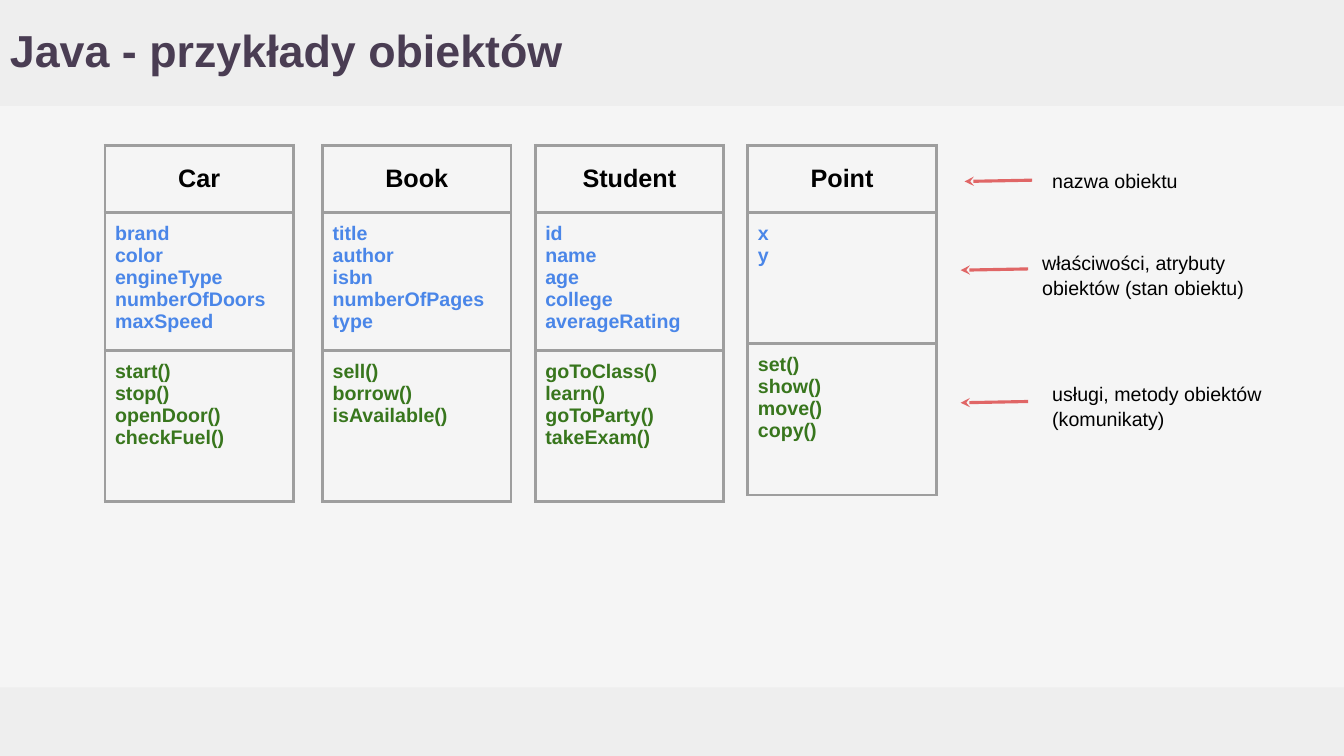
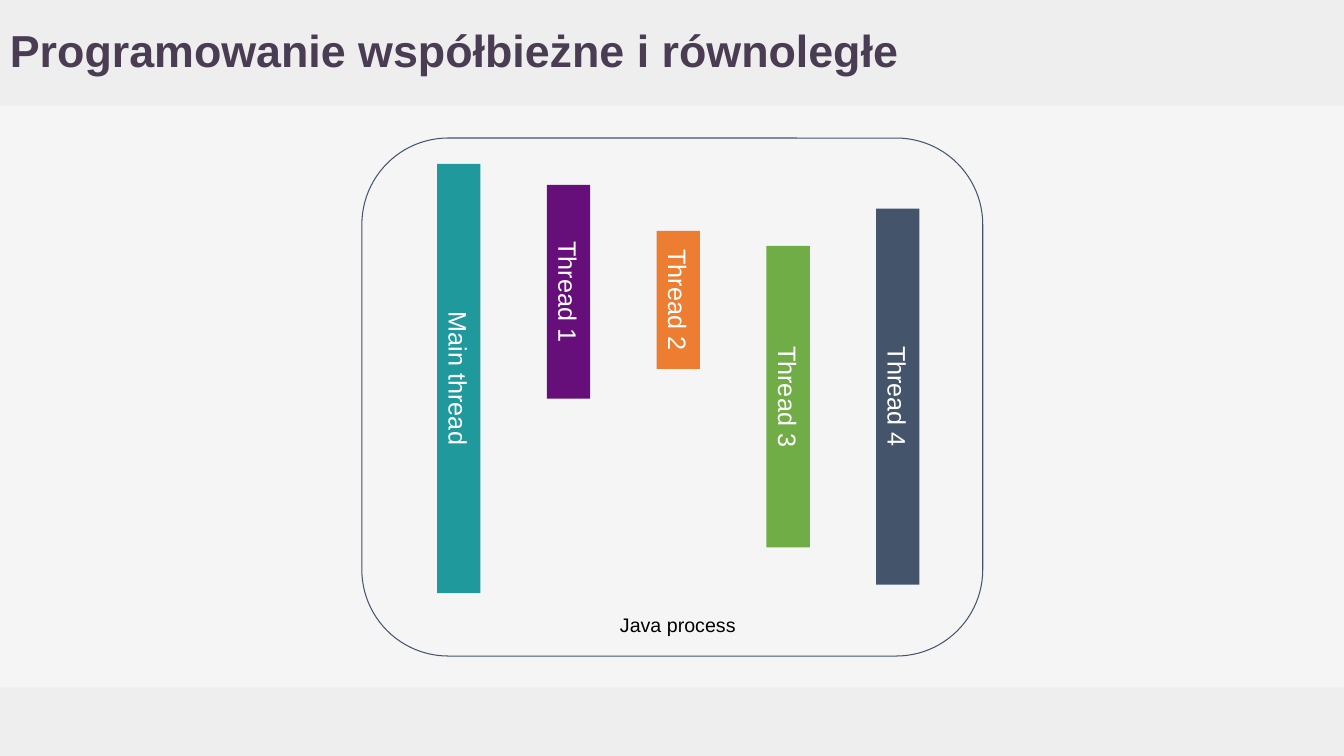
from pptx import Presentation
from pptx.dml.color import RGBColor
from pptx.enum.shapes import MSO_CONNECTOR, MSO_SHAPE
from pptx.enum.text import MSO_ANCHOR, PP_ALIGN
from pptx.oxml.ns import qn
from pptx.util import Pt
from lxml.etree import SubElement

WIDTH, HEIGHT = 960, 540
HEADER_H, FOOTER_H = 75.6, 49
INSET = 7.2
FONT = "Arial"

BACKGROUND, BAND, TITLE = "F5F5F5", "EEEEEE", "4A3D53"
BLACK, WHITE, SLATE = "000000", "FFFFFF", "44546A"
BORDER, ATTRIBUTE, METHOD, ARROW = "9E9E9E", "4A86E8", "38761D", "E06666"

# left edge, name, attributes, methods
CLASSES = [
    (75, "Car", "brand\ncolor\nengineType\nnumberOfDoors\nmaxSpeed",
     "start()\nstop()\nopenDoor()\ncheckFuel()"),
    (230.4, "Book", "title\nauthor\nisbn\nnumberOfPages\ntype",
     "sell()\nborrow()\nisAvailable()"),
    (382.3, "Student", "id\nname\nage\ncollege\naverageRating",
     "goToClass()\nlearn()\ngoToParty()\ntakeExam()"),
    (534.2, "Point", "x\ny", "set()\nshow()\nmove()\ncopy()"),
]
CLASS_TOP, CLASS_W = 103.7, 134.6
CLASS_ROWS = (48.2, 93.6, 108)

# text, text left, text top, arrow left, arrow y
NOTES = [
    ("nazwa obiektu", 744.5, 112.3, 689, 129.6),
    ("właściwości, atrybuty obiektów (stan obiektu)", 737.3, 170.6, 686.2, 193),
    ("usługi, metody obiektów (komunikaty)", 744.5, 264.2, 686.2, 287.7),
]
ARROW_W, ARROW_RISE = 48.2, 0.9

# name, top, length, colour
THREADS = [
    ("Main thread", 117, 306.7, "20999D"),
    ("Thread 1", 132.1, 152.6, "660E7A"),
    ("Thread 2", 164.9, 98.6, "ED7D31"),
    ("Thread 3", 175.7, 215.3, "70AD47"),
    ("Thread 4", 149, 268.6, SLATE),
]
THREAD_X, THREAD_STEP, THREAD_W = 327.7, 78.4, 31


def rgb(value):
    return RGBColor.from_string(value)


def set_text(tf, text, size, color, bold=False, align=PP_ALIGN.LEFT, spacing=None):
    tf.text = text
    tf.word_wrap = True
    for p in tf.paragraphs:
        p.alignment = align
        p.line_spacing = spacing
        for r in p.runs:
            r.font.name = FONT
            r.font.size = Pt(size)
            r.font.bold = bold
            r.font.color.rgb = rgb(color)


def set_insets(box):
    """Give a text frame or a table cell equal margins."""
    box.margin_left = box.margin_right = Pt(INSET)
    box.margin_top = box.margin_bottom = Pt(INSET)


def add_text(s, text, left, top, width, height, size, color,
             anchor=MSO_ANCHOR.TOP, **style):
    tf = s.shapes.add_textbox(Pt(left), Pt(top), Pt(width), Pt(height)).text_frame
    set_insets(tf)
    tf.vertical_anchor = anchor
    set_text(tf, text, size, color, **style)


def add_label(s, text, left, top, width, height, **style):
    add_text(s, text, left, top, width, height, 14, BLACK, spacing=1.07, **style)


def add_box(s, left, top, width, height, fill=None, line=None,
            kind=MSO_SHAPE.RECTANGLE):
    sp = s.shapes.add_shape(kind, Pt(left), Pt(top), Pt(width), Pt(height))
    sp.shadow.inherit = False
    if fill:
        sp.fill.solid()
        sp.fill.fore_color.rgb = rgb(fill)
    else:
        sp.fill.background()
    if line:
        sp.line.color.rgb = rgb(line)
        sp.line.width = Pt(0.75)
    else:
        sp.line.fill.background()
    return sp


def add_slide(prs, title):
    s = prs.slides.add_slide(prs.slide_layouts[6])
    s.background.fill.solid()
    s.background.fill.fore_color.rgb = rgb(BACKGROUND)
    add_box(s, 0, HEIGHT - FOOTER_H, WIDTH, FOOTER_H, BAND)
    add_box(s, 0, 0, WIDTH, HEADER_H, BAND)
    add_text(s, title, 0, 0, 858, HEADER_H, 32, TITLE, MSO_ANCHOR.MIDDLE,
             bold=True, spacing=0.9)
    return s


def set_borders(cell):
    tc_pr = cell._tc.get_or_add_tcPr()
    for side in ("a:lnL", "a:lnR", "a:lnT", "a:lnB"):
        ln = SubElement(tc_pr, qn(side), w=str(Pt(2.25)))
        fill = SubElement(ln, qn("a:solidFill"))
        SubElement(fill, qn("a:srgbClr"), val=BORDER)


def add_class(s, left, name, attributes, methods):
    table = s.shapes.add_table(3, 1, Pt(left), Pt(CLASS_TOP), Pt(CLASS_W),
                               Pt(sum(CLASS_ROWS))).table
    table.first_row = table.horz_banding = False
    contents = [
        (name, 18, BLACK, PP_ALIGN.CENTER, MSO_ANCHOR.MIDDLE),
        (attributes, 14, ATTRIBUTE, PP_ALIGN.LEFT, MSO_ANCHOR.TOP),
        (methods, 14, METHOD, PP_ALIGN.LEFT, MSO_ANCHOR.TOP),
    ]
    for i, (text, size, color, align, anchor) in enumerate(contents):
        table.rows[i].height = Pt(CLASS_ROWS[i])
        cell = table.cell(i, 0)
        set_borders(cell)
        cell.fill.background()
        set_insets(cell)
        cell.vertical_anchor = anchor
        set_text(cell.text_frame, text, size, color, True, align)


def add_arrow(s, left, y):
    """Draw an arrow that points left."""
    line = s.shapes.add_connector(MSO_CONNECTOR.STRAIGHT, Pt(left), Pt(y),
                                  Pt(left + ARROW_W), Pt(y - ARROW_RISE))
    line.line.color.rgb = rgb(ARROW)
    line.line.width = Pt(2.25)
    SubElement(line.line._get_or_add_ln(), qn("a:headEnd"), type="stealth")
    SubElement(line._element.spPr, qn("a:effectLst"))


def add_thread(s, name, center_x, top, length, color):
    """Draw a bar turned by 90 degrees, so its text runs downwards."""
    bar = add_box(s, center_x - length / 2, top + (length - THREAD_W) / 2,
                  length, THREAD_W, color)
    bar.rotation = 90
    tf = bar.text_frame
    set_insets(tf)
    tf.vertical_anchor = MSO_ANCHOR.MIDDLE
    set_text(tf, name, 18, WHITE, align=PP_ALIGN.CENTER)


def build_objects(prs):
    s = add_slide(prs, "Java - przykłady obiektów")
    for row in CLASSES:
        add_class(s, *row)
    for text, left, top, arrow_left, arrow_y in NOTES:
        add_label(s, text, left, top, 164.2, 21.6)
        add_arrow(s, arrow_left, arrow_y)


def build_threads(prs):
    s = add_slide(prs, "Programowanie współbieżne i równoległe")
    process = add_box(s, 258.5, 98.6, 443.5, 370, line=SLATE,
                      kind=MSO_SHAPE.ROUNDED_RECTANGLE)
    process.adjustments[0] = 0.167
    for i, (name, top, length, color) in enumerate(THREADS):
        add_thread(s, name, THREAD_X + i * THREAD_STEP, top, length, color)
    add_label(s, "Java process", 398.2, 429.8, 172, 31.7, align=PP_ALIGN.CENTER)


def main():
    prs = Presentation()
    prs.slide_width, prs.slide_height = Pt(WIDTH), Pt(HEIGHT)
    build_objects(prs)
    build_threads(prs)
    prs.save("out.pptx")


if __name__ == "__main__":
    main()
